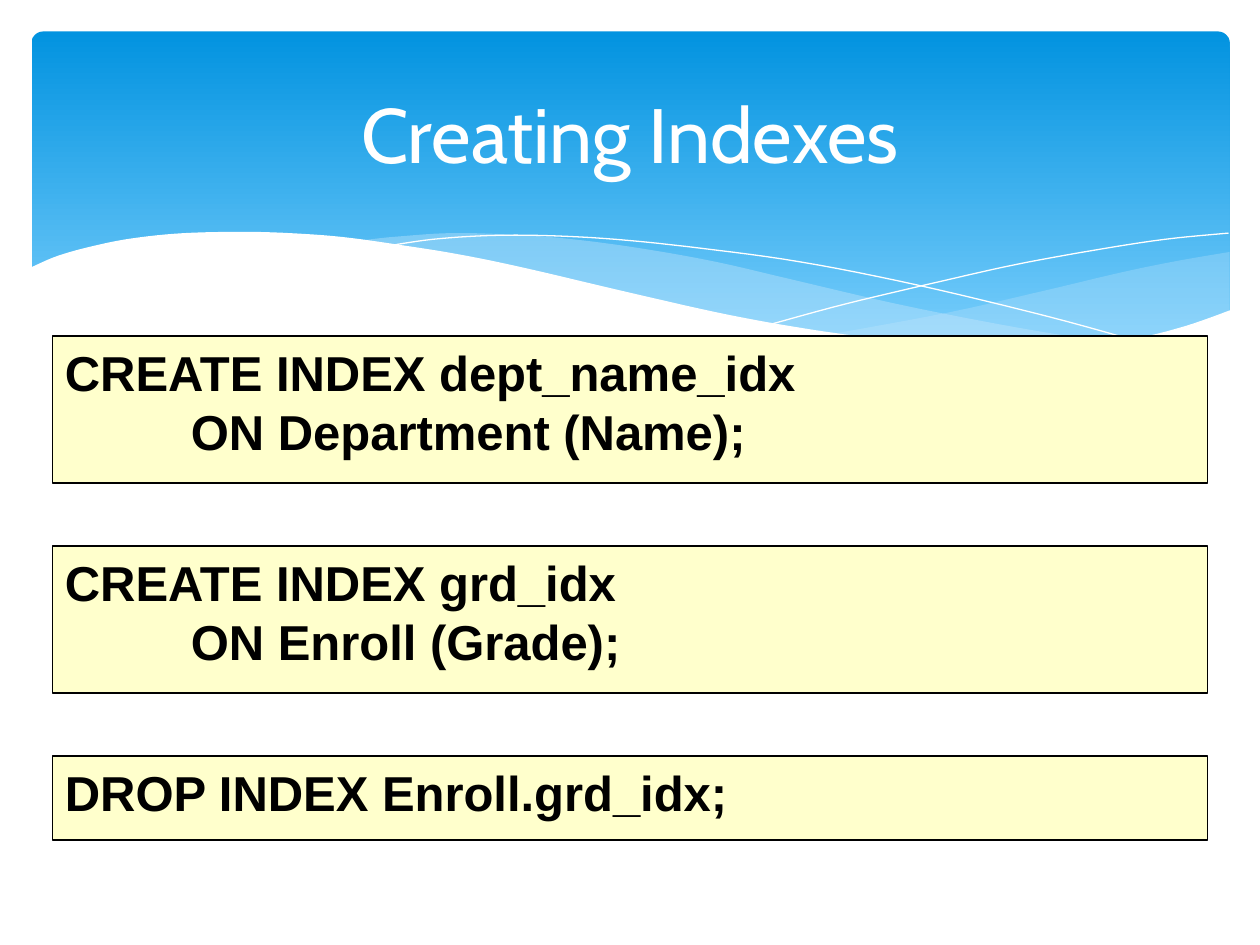
import pptx
import pptx.util
import pptx.dml.color
import pptx.enum.shapes
import pptx.enum.text
import pptx.oxml
import pptx.oxml.ns

Inch = pptx.util.Inches
Pt = pptx.util.Pt
RGB = pptx.dml.color.RGBColor
Kind = pptx.enum.shapes.MSO_SHAPE
Align = pptx.enum.text.PP_ALIGN
Anchor = pptx.enum.text.MSO_ANCHOR

WHITE = RGB(0xFF, 0xFF, 0xFF)
BLACK = RGB(0x00, 0x00, 0x00)
DEEP = RGB(0x02, 0x93, 0xE0)
LIGHT = RGB(0x83, 0xD3, 0xFE)
PALE = RGB(0xC6, 0xE7, 0xFC)
CREAM = RGB(0xFF, 0xFF, 0xCC)
XMLNS = pptx.oxml.ns.nsdecls("a")

deck = pptx.Presentation()
deck.slide_width = Inch(10)
deck.slide_height = Inch(7.5)
UNIT = deck.slide_width // 120
slide = deck.slides.add_slide(deck.slide_layouts[5])
shapes = slide.shapes


def smooth(knots, steps=6):
    ends = [knots[0]] + knots + [knots[-1]]
    curve = []
    for a, b, c, d in zip(ends, ends[1:], ends[2:], ends[3:]):
        for step in range(steps):
            t = step / steps
            curve.append(tuple(
                (2 * q + (r - p) * t + (2 * p - 5 * q + 4 * r - s) * t ** 2
                 + (3 * q - p - 3 * r + s) * t ** 3) / 2
                for p, q, r, s in zip(a, b, c, d)))
    return curve + [knots[-1]]


def draw(points, close):
    spots = [(Inch(x), Inch(y)) for x, y in points]
    pen = shapes.build_freeform(*spots[0])
    pen.add_line_segments(spots[1:], close=close)
    form = pen.convert_to_shape()
    form.shadow.inherit = False
    return form


band = shapes.add_shape(Kind.ROUNDED_RECTANGLE, UNIT * 3, UNIT * 3, Inch(9.51), Inch(2.7))
band.adjustments[0] = 0.034
band.shadow.inherit = False
band.line.fill.background()
band.fill.gradient()
band.fill.gradient_angle = 270
for stop, color, place in zip(band.fill.gradient_stops, (DEEP, LIGHT), (0, 1)):
    stop.color.rgb = color
    stop.position = place

right = smooth([(9.76, 2), (9.35, 2.07), (8.91, 2.16), (8.32, 2.3), (7.53, 2.48), (6.61, 2.65)])
right += smooth([(6.61, 2.65), (7.18, 2.73), (7.69, 2.77), (8.14, 2.78), (8.63, 2.75),
                 (9.05, 2.69), (9.42, 2.59), (9.76, 2.47)])
mid = smooth([(8.93, 2.73), (8.37, 2.65), (7.75, 2.54), (7.06, 2.4), (6.29, 2.22), (5.69, 2.08),
              (5.14, 1.98), (4.64, 1.91), (4.2, 1.87), (3.61, 1.85), (3.13, 1.88), (2.86, 1.91)])
mid += smooth([(2.86, 1.91), (3.42, 1.99), (4.04, 2.11), (4.91, 2.32), (5.66, 2.48), (6.34, 2.61),
               (6.95, 2.7), (7.48, 2.76), (8.07, 2.79), (8.57, 2.77), (8.93, 2.73)])
hill = smooth([(9.77, 2.46), (9.4, 2.59), (8.99, 2.69), (8.5, 2.75), (8.09, 2.77), (7.61, 2.75),
               (7.08, 2.7), (6.47, 2.62), (5.79, 2.5), (5.03, 2.33), (4.18, 2.13), (3.65, 2.02),
               (3.15, 1.94), (2.71, 1.88), (2.3, 1.85), (1.93, 1.84), (1.46, 1.85), (1.06, 1.89),
               (0.75, 1.95), (0.46, 2.03), (0.23, 2.13)])
hill += [(0.23, 3.29), (9.77, 3.29)]
fall = smooth([(3.09, 1.95), (3.43, 1.9), (3.87, 1.87), (4.33, 1.87), (4.89, 1.9), (5.56, 1.97),
               (6.36, 2.08), (7.27, 2.26), (8.31, 2.51), (9.07, 2.72)])
rise = smooth([(6.13, 2.57), (6.72, 2.41), (7.48, 2.23), (8.06, 2.1), (8.66, 1.99),
               (9.24, 1.9), (9.75, 1.85)])

for edge, share in ((right, 29), (mid, 40)):
    wave = draw(edge, True)
    wave.line.fill.background()
    wave.fill.solid()
    wave.fill.fore_color.rgb = PALE
    tint = wave.fill._xPr.find(".//" + pptx.oxml.ns.qn("a:srgbClr"))
    tint.append(pptx.oxml.parse_xml(f'<a:alpha {XMLNS} val="{share * 1000}"/>'))

for edge in (fall, rise):
    wire = draw(edge, False)
    wire.fill.background()
    wire.line.color.rgb = WHITE
    wire.line.width = Pt(0)

front = draw(hill, True)
front.line.fill.background()
front.fill.solid()
front.fill.fore_color.rgb = WHITE

title = shapes.title
title.left, title.top = UNIT * 6, Inch(0.37)
title.width, title.height = UNIT * 108, Inch(1.37)
title.text_frame.vertical_anchor = Anchor.MIDDLE
head = title.text_frame.paragraphs[0]
head.alignment = Align.CENTER
run = head.add_run()
run.text = "Creating Indexes"
run.font.name = "Cabin"
run.font.size = Pt(44)
run.font.color.rgb = WHITE
shapes._spTree.append(title._element)

codes = (
    (32, 14, ("CREATE INDEX dept_name_idx", "\tON Department (Name);")),
    (52, 14, ("CREATE INDEX grd_idx", "\tON Enroll (Grade);")),
    (72, 8, ("DROP INDEX Enroll.grd_idx;",)),
)
for row, tall, lines in codes:
    box = shapes.add_shape(Kind.RECTANGLE, UNIT * 5, UNIT * row, UNIT * 110, UNIT * tall)
    box.shadow.inherit = False
    box.fill.solid()
    box.fill.fore_color.rgb = CREAM
    box.line.color.rgb = BLACK
    box.line.width = Pt(0.75)
    frame = box.text_frame
    frame.word_wrap = True
    frame.vertical_anchor = Anchor.TOP
    frame.margin_left = frame.margin_right = Inch(0.1)
    frame.margin_top = frame.margin_bottom = Inch(0.05)
    for index, line in enumerate(lines):
        para = frame.add_paragraph() if index else frame.paragraphs[0]
        para.alignment = Align.LEFT
        para._p.get_or_add_pPr().append(pptx.oxml.parse_xml(
            f'<a:tabLst {XMLNS}><a:tab pos="{Inch(1)}" algn="l"/></a:tabLst>'))
        run = para.add_run()
        run.text = line
        run.font.name = "Arial"
        run.font.size = Pt(28)
        run.font.bold = True
        run.font.color.rgb = BLACK

deck.save("out.pptx")
